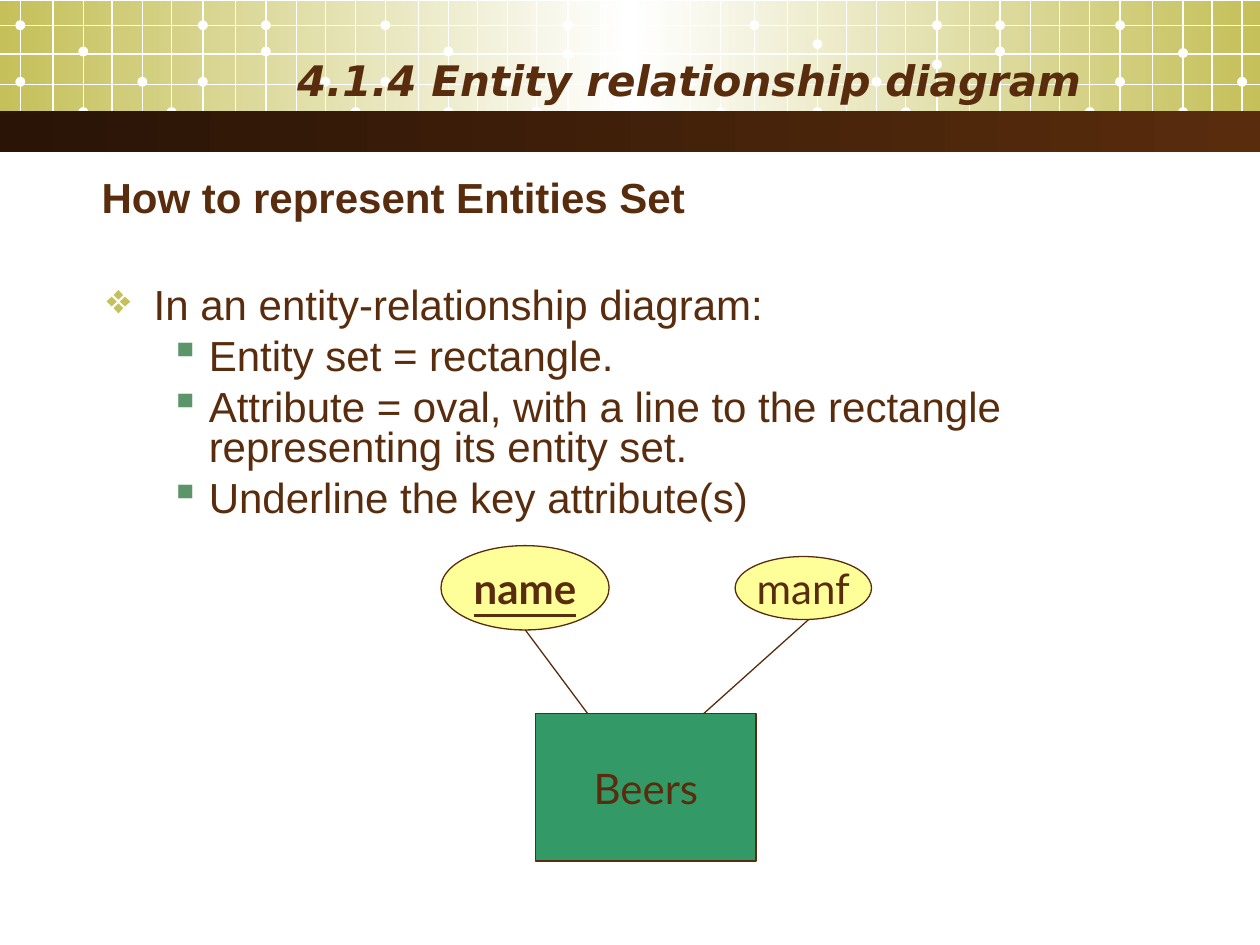
from lxml.etree import SubElement
from pptx import Presentation
from pptx.dml.color import RGBColor
from pptx.enum.shapes import MSO_CONNECTOR, MSO_SHAPE
from pptx.enum.text import MSO_ANCHOR, PP_ALIGN
from pptx.oxml.ns import qn
from pptx.util import Cm, Pt

RECT, OVAL = MSO_SHAPE.RECTANGLE, MSO_SHAPE.OVAL
LINE = MSO_CONNECTOR.STRAIGHT
TOP, MID = MSO_ANCHOR.TOP, MSO_ANCHOR.MIDDLE
LEFT, CENTER, RIGHT = PP_ALIGN.LEFT, PP_ALIGN.CENTER, PP_ALIGN.RIGHT

WIDE, HIGH = 25.4, 19.05
BROWN, OLIVE, WHITE = "592C0D", "C5C059", "FFFFFF"
DARK, GREEN, MOSS, YELLOW = "291406", "339966", "5B9569", "FFFF99"

STARTS = [0.41, 7.77, 15.21, 22.58]
STEPS = [0, 0.66, 1.27, 1.85, 2.46, 3.05, 3.68, 4.34, 4.95, 5.56, 6.15, 6.76]
ROWS = [0.51, 1.09, 1.7]
HIGHS = [1.04, 1.04, 0.89, 1.07]
LOWS = [1.65, 1.09, 1.3, 1.3]
DOT = 0.2

POINTS = [
    (0, "In an entity-relationship diagram:"),
    (1, "Entity set = rectangle."),
    (1, "Attribute = oval, with a line to the rectangle representing its entity set."),
    (1, "Underline the key attribute(s)"),
]
BULLETS = [("❖", OLIVE, 0.95, 0.95), ("▪", MOSS, 2.06, 0.79)]


def paint(code):
    return RGBColor.from_string(code)


def write(para, text, font="Arial", size=24, color=BROWN, bold=False,
          slant=False, under=False, align=LEFT):
    para.alignment = align
    run = para.add_run()
    run.text = text
    face = run.font
    face.name, face.size = font, Pt(size)
    face.bold, face.italic, face.underline = bold, slant, under
    face.color.rgb = paint(color)


class Page:
    """Holds the style and the current slide, and draws each kind of element."""

    def __init__(self, slide, edge=BROWN, width=0.75):
        self.slide, self.edge, self.width = slide, edge, width

    def shape(self, kind, box, fill=None, edge=None):
        item = self.slide.shapes.add_shape(kind, *map(Cm, box))
        item.shadow.inherit = False
        if fill:
            item.fill.solid()
            item.fill.fore_color.rgb = paint(fill)
        if edge:
            item.line.color.rgb = paint(edge)
            item.line.width = Pt(self.width)
        else:
            item.line.fill.background()
        return item

    def band(self, box, colors):
        item = self.shape(RECT, box)
        item.fill.gradient()
        item.fill.gradient_angle = 0
        stops = next(item.element.iter(qn("a:gsLst")))
        stops.clear()
        for i, code in enumerate(colors):
            place = 100000 * i // (len(colors) - 1)
            stop = SubElement(stops, qn("a:gs"), pos=str(place))
            SubElement(stop, qn("a:srgbClr"), val=code)

    def dot(self, x, y):
        self.shape(OVAL, (x - DOT / 2, y - DOT / 2, DOT, DOT), WHITE)

    def line(self, start, end, color=None):
        item = self.slide.shapes.add_connector(LINE, *map(Cm, start + end))
        item.line.color.rgb = paint(color or self.edge)
        item.line.width = Pt(self.width)
        SubElement(item.element.spPr, qn("a:effectLst"))

    def node(self, kind, box, fill, text, **style):
        frame = self.shape(kind, box, fill, self.edge).text_frame
        frame.word_wrap = False
        frame.vertical_anchor = MID
        write(frame.paragraphs[0], text, font="Lato", align=CENTER, **style)

    def frame(self, box, anchor=TOP):
        frame = self.slide.shapes.add_textbox(*map(Cm, box)).text_frame
        frame.word_wrap = True
        frame.vertical_anchor = anchor
        return frame

    def label(self, box, text, anchor=TOP, **style):
        write(self.frame(box, anchor).paragraphs[0], text, **style)

    def bullets(self, box, points):
        frame = self.frame(box)
        for i, (level, text) in enumerate(points):
            para = frame.add_paragraph() if i else frame.paragraphs[0]
            para.level = level
            para.line_spacing, para.space_before = 0.8, Pt(6)
            write(para, text)
            mark, color, left, hang = BULLETS[level]
            props = para._p.get_or_add_pPr()
            props.set("marL", str(Cm(left)))
            props.set("indent", str(-Cm(hang)))
            tint = SubElement(props, qn("a:buClr"))
            SubElement(tint, qn("a:srgbClr"), val=color)
            SubElement(props, qn("a:buChar"), char=mark)


def header(page):
    page.band((0, 0.03, WIDE, 2.59), [OLIVE, WHITE, OLIVE])
    for start, high, low in zip(STARTS, HIGHS, LOWS):
        dots = [(0, 0.51), (0, 1.65), (2, high), (2, 2.26), (4, 1.65), (5, 2.26),
                (6, 0.51), (6, low), (8, 0.51), (8, 1.04), (10, 1.65), (11, 2.26)]
        for step in STEPS:
            if start + step < WIDE:
                page.line((start + step, 0), (start + step, 2.79), WHITE)
        for col, y in dots:
            if start + STEPS[col] < WIDE:
                page.dot(start + STEPS[col], y)
    for y in ROWS:
        page.line((0, y), (WIDE, y), WHITE)
    page.band((0, 2.23, WIDE, 0.84), [DARK, BROWN])


def main():
    deck = Presentation()
    deck.slide_width, deck.slide_height = Cm(WIDE), Cm(HIGH)
    page = Page(deck.slides.add_slide(deck.slide_layouts[6]))
    header(page)
    page.label((1.3, 1.07, 20.75, 1.07), "4.1.4 Entity relationship diagram", MID,
               font="DejaVu Sans", bold=True, slant=True, align=RIGHT)
    page.bullets((1.9, 5.69, 21.6, 5.23), POINTS)
    page.node(RECT, (10.8, 14.39, 4.44, 2.97), GREEN, "Beers")
    page.node(OVAL, (8.89, 11, 3.39, 1.7), YELLOW, "name", bold=True, under=True)
    page.node(OVAL, (14.82, 11.22, 2.75, 1.27), YELLOW, "manf")
    page.line((10.59, 12.7), (11.85, 14.39))
    page.line((16.3, 12.49), (14.18, 14.39))
    page.label((1.8, 3.33, 16.69, 1.27), "How to represent Entities Set", bold=True)
    deck.save("out.pptx")


if __name__ == "__main__":
    main()
